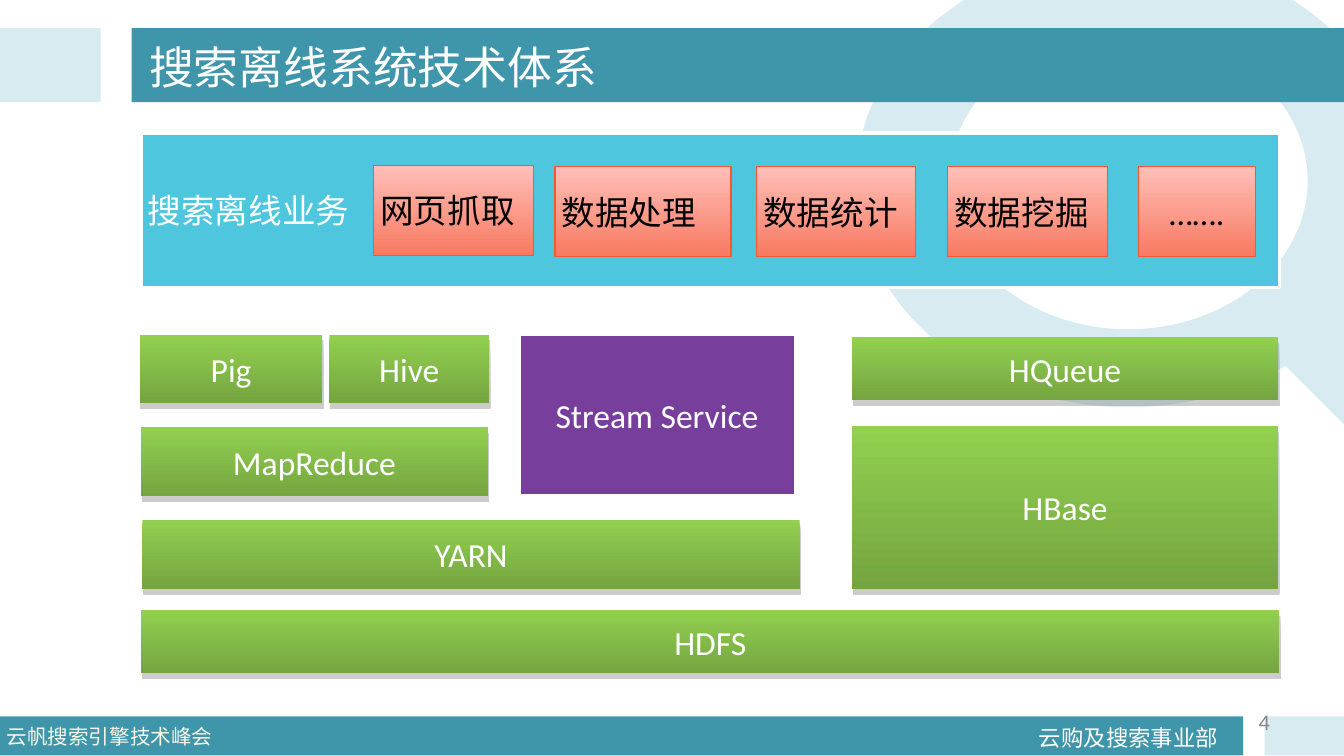
from dataclasses import dataclass

from lxml import etree
from pptx import Presentation
from pptx.dml.color import RGBColor
from pptx.enum import shapes, text
from pptx.oxml import ns
from pptx.util import Inches, Pt


@dataclass(frozen=True)
class Theme:
    teal: str = "3F95AA"
    pale: str = "D7EBF0"
    white: str = "FFFFFF"
    cream: str = "F9F7EA"
    grey: str = "888888"
    black: str = "000000"
    cyan: str = "4EC6DE"
    purple: str = "773F9B"
    orange: str = "F7572F"
    shadow: str = "808080"
    green: tuple = ("92D050", "74A540")
    coral: tuple = ("FFBFB8", "F87A61")
    latin: str = "Calibri"
    cjk: str = "Noto Sans CJK SC"
    title: int = 24
    body: int = 18
    small: int = 12
    footer: int = 11


T = Theme()
LEFT, CENTER, RIGHT = (text.PP_ALIGN.LEFT, text.PP_ALIGN.CENTER,
                       text.PP_ALIGN.RIGHT)
RECT = shapes.MSO_SHAPE.RECTANGLE
MIDDLE = text.MSO_ANCHOR.MIDDLE


def write(sp, words, size, color, align=LEFT, font=T.latin, anchor=MIDDLE,
          inset=0.05, wrap=True):
    tf = sp.text_frame
    tf.word_wrap = wrap
    tf.auto_size = text.MSO_AUTO_SIZE.NONE
    tf.vertical_anchor = anchor
    tf.margin_left = tf.margin_right = Inches(inset)
    tf.margin_top = tf.margin_bottom = Inches(inset)
    p = tf.paragraphs[0]
    p.text = words
    p.alignment = align
    p.font.name = font
    p.font.size = Pt(size)
    p.font.color.rgb = RGBColor.from_string(color)
    return p


def add_block(s, box, fill, kind=RECT, line=None, line_width=2):
    """Add a shape; a pair of colours as fill gives a top-down gradient."""
    sp = s.shapes.add_shape(kind, *map(Inches, box))
    sp.shadow.inherit = False
    if isinstance(fill, tuple):
        sp.fill.gradient()
        sp.fill.gradient_angle = 270
        for stop, color in zip(sp.fill.gradient_stops, fill):
            stop.color.rgb = RGBColor.from_string(color)
    else:
        sp.fill.solid()
        sp.fill.fore_color.rgb = RGBColor.from_string(fill)
    if line:
        sp.line.color.rgb = RGBColor.from_string(line)
        sp.line.width = Pt(line_width)
    else:
        sp.line.fill.background()
    return sp


def add_drop_shadow(sp):
    effects = sp.element.spPr.find(ns.qn("a:effectLst"))
    outer = etree.SubElement(effects, ns.qn("a:outerShdw"), blurRad="0",
                             dist=str(Pt(3)), dir=str(80 * 60000),
                             algn="ctr", rotWithShape="0")
    color = etree.SubElement(outer, ns.qn("a:srgbClr"), val=T.shadow)
    etree.SubElement(color, ns.qn("a:alpha"), val="40000")


def add_magnifier(s, x, y, w, h):
    oval = shapes.MSO_SHAPE.OVAL
    dx, dy = 0.69, 0.58
    add_block(s, (x, y, w, h), T.pale, oval)
    add_block(s, (x + dx, y + dy, w - 2 * dx, h - 2 * dy), T.white, oval)
    handle = add_block(s, (x + 2.92, y + 2.92, 2.1, 0.76), T.pale,
                       shapes.MSO_SHAPE.ROUNDED_RECTANGLE)
    handle.adjustments[0] = 0.5
    handle.rotation = 45


def add_footer(s, x, y, w, h):
    add_block(s, (x, y, 9.25, h), T.teal)
    add_block(s, (x + 9.41, y, w - 9.41, h), T.pale)
    top = text.MSO_ANCHOR.TOP
    labels = [
        ((7.68, 5.3, 1.45, 0.32), "云购及搜索事业部", T.small, T.white, LEFT, T.cjk, top),
        ((0, 5.34, 1.77, 0.31), "云帆搜索引擎技术峰会", T.footer, T.cream, LEFT, T.cjk, top),
        ((7.17, 5.22, 2.33, 0.29), "4", T.small, T.grey, RIGHT, T.latin, MIDDLE),
    ]
    paragraphs = [
        write(s.shapes.add_textbox(*map(Inches, box)), *style, wrap=False)
        for box, *style in labels]
    paragraphs[0].line_spacing = 1.2


def add_header(s, x, y, w, h, words):
    add_block(s, (0, y, 0.75, h), T.pale)
    add_block(s, (x, y, w, h), T.teal)
    title = s.shapes.title
    title.left, title.top = Inches(x + 0.08), Inches(y - 0.14)
    title.width, title.height = Inches(8.44), Inches(0.85)
    write(title, words, T.title, T.white)
    title.element.getparent().append(title.element)  # above the title bar


def add_business_band(s, x, y, w, h):
    band = add_block(s, (x, y, w, h), T.cyan, line=T.white)
    write(band, "搜索离线业务", T.body, T.white)
    tasks = [("网页抓取", 2.78, 1.19, 0.24), ("数据处理", 4.13, 1.31, 0.25),
             ("数据统计", 5.63, 1.18, 0.25), ("数据挖掘", 7.05, 1.19, 0.25),
             ("…….", 8.47, 0.87, 0.25)]
    for words, left, width, dy in tasks:
        sp = add_block(s, (left, y + dy, width, 0.67), T.coral,
                       line=T.orange, line_width=0.75)
        write(sp, words, T.body, T.black, CENTER if words == "……." else LEFT)


def add_technology_stack(s, x, y):
    """Place the platform blocks, given as offsets from the top left corner."""
    blocks = [("HDFS", 0.01, 2.05, 8.47, 0.47),
              ("YARN", 0.02, 1.38, 4.89, 0.51),
              ("HBase", 5.3, 0.68, 3.17, 1.21),
              ("MapReduce", 0.01, 0.69, 2.58, 0.51),
              ("HQueue", 5.3, 0.02, 3.17, 0.47),
              ("Pig", 0, 0, 1.36, 0.51),
              ("Hive", 1.41, 0, 1.19, 0.51)]
    for words, dx, dy, w, h in blocks:
        sp = add_block(s, (x + dx, y + dy, w, h), T.green)
        add_drop_shadow(sp)
        write(sp, words, T.body, T.white, CENTER)
    stream = add_block(s, (x + 2.82, y, 2.06, 1.2), T.purple, line=T.white)
    write(stream, "Stream Service", T.body, T.white, CENTER, inset=0)


def main():
    prs = Presentation()
    prs.slide_width = Inches(10)
    prs.slide_height = prs.slide_width * 9 // 16
    s = prs.slides.add_slide(prs.slide_layouts[5])
    add_magnifier(s, 6.37, -0.34, 4.05, 3.37)
    add_footer(s, 0, 5.33, 10, 0.29)
    add_header(s, 0.98, 0.21, 9.02, 0.55, "搜索离线系统技术体系")
    add_business_band(s, 1.05, 0.99, 8.47, 1.15)
    add_technology_stack(s, 1.04, 2.49)
    prs.save("out.pptx")


if __name__ == "__main__":
    main()
